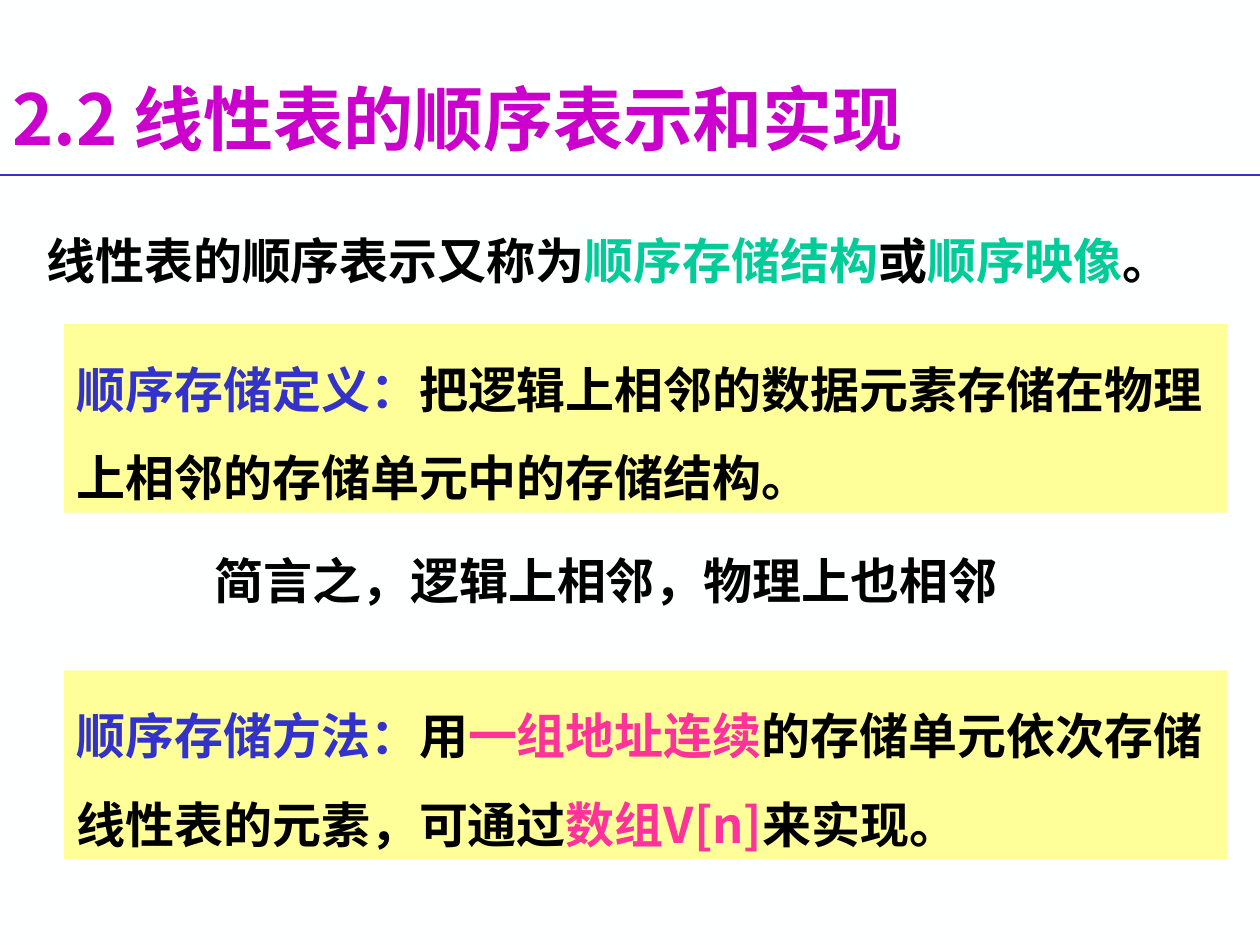
import pptx
import pptx.dml.color
import pptx.enum.shapes
import pptx.enum.text
import pptx.oxml.ns
import pptx.util
from lxml import etree

Inches = pptx.util.Inches
Pt = pptx.util.Pt
ALIGN = pptx.enum.text.PP_ALIGN
FONT = "Noto Sans CJK SC"
COLORS = {
    "background": "FEFFFF",
    "title": "CC00CC",
    "body": "000000",
    "term": "00CC99",
    "label": "3333CC",
    "emphasis": "FF3399",
    "panel": "FFFF99",
}


def color(name):
    return pptx.dml.color.RGBColor.from_string(COLORS[name])


def write_runs(sp, runs, size=28, align=ALIGN.LEFT, spacing=None):
    tf = sp.text_frame
    tf.word_wrap = True
    tf.vertical_anchor = pptx.enum.text.MSO_ANCHOR.TOP
    p = tf.paragraphs[0]
    p.alignment = align
    if spacing:
        p.line_spacing = spacing
    for text, color_name in runs:
        r = p.add_run()
        r.text = text
        r.font.size = Pt(size)
        r.font.bold = True
        r.font.name = FONT
        r.font.color.rgb = color(color_name)
        ea = etree.SubElement(r.font._element, pptx.oxml.ns.qn("a:ea"))
        ea.set("typeface", FONT)


def add_text(s, left, top, width, height, runs, **style):
    sp = s.shapes.add_textbox(Inches(left), Inches(top), Inches(width), Inches(height))
    write_runs(sp, runs, **style)
    return sp


def add_panel(s, top, runs):
    sp = s.shapes.add_shape(
        pptx.enum.shapes.MSO_SHAPE.RECTANGLE,
        Inches(0.51), Inches(top), Inches(9.23), Inches(1.5),
    )
    sp.shadow.inherit = False
    sp.fill.solid()
    sp.fill.fore_color.rgb = color("panel")
    sp.line.fill.background()
    write_runs(sp, runs, spacing=1.5)


def add_rule(s, top):
    line = s.shapes.add_connector(
        pptx.enum.shapes.MSO_CONNECTOR.STRAIGHT,
        Inches(0), Inches(top), Inches(10), Inches(top),
    )
    line.line.color.rgb = color("label")
    line.line.width = Pt(1)
    etree.SubElement(line._element.spPr, pptx.oxml.ns.qn("a:effectLst"))


def main():
    prs = pptx.Presentation()
    prs.slide_width = Inches(10)
    prs.slide_height = Inches(7.5)
    s = prs.slides.add_slide(prs.slide_layouts[6])
    s.background.fill.solid()
    s.background.fill.fore_color.rgb = color("background")

    title = add_text(s, 0, 0.56, 8.59, 0.75, [("2.2 线性表的顺序表示和实现", "title")], size=40)
    title.text_frame.vertical_anchor = pptx.enum.text.MSO_ANCHOR.MIDDLE
    add_rule(s, 1.39)
    add_text(s, 0.27, 1.78, 9.23, 0.57, [
        ("线性表的顺序表示又称为", "body"),
        ("顺序存储结构", "term"),
        ("或", "body"),
        ("顺序映像", "term"),
        ("。", "body"),
    ])
    add_panel(s, 2.57, [
        ("顺序存储定义：", "label"),
        ("把逻辑上相邻的数据元素存储在物理上相邻的存储单元中的存储结构。", "body"),
    ])
    add_text(s, 1.04, 4.32, 7.54, 0.57,
             [("简言之，逻辑上相邻，物理上也相邻", "body")], align=ALIGN.CENTER)
    add_panel(s, 5.32, [
        ("顺序存储方法：", "label"),
        ("用", "body"),
        ("一组地址连续", "emphasis"),
        ("的存储单元依次存储线性表的元素，可通过", "body"),
        ("数组V[n]", "emphasis"),
        ("来实现。", "body"),
    ])
    prs.save("out.pptx")


if __name__ == "__main__":
    main()
